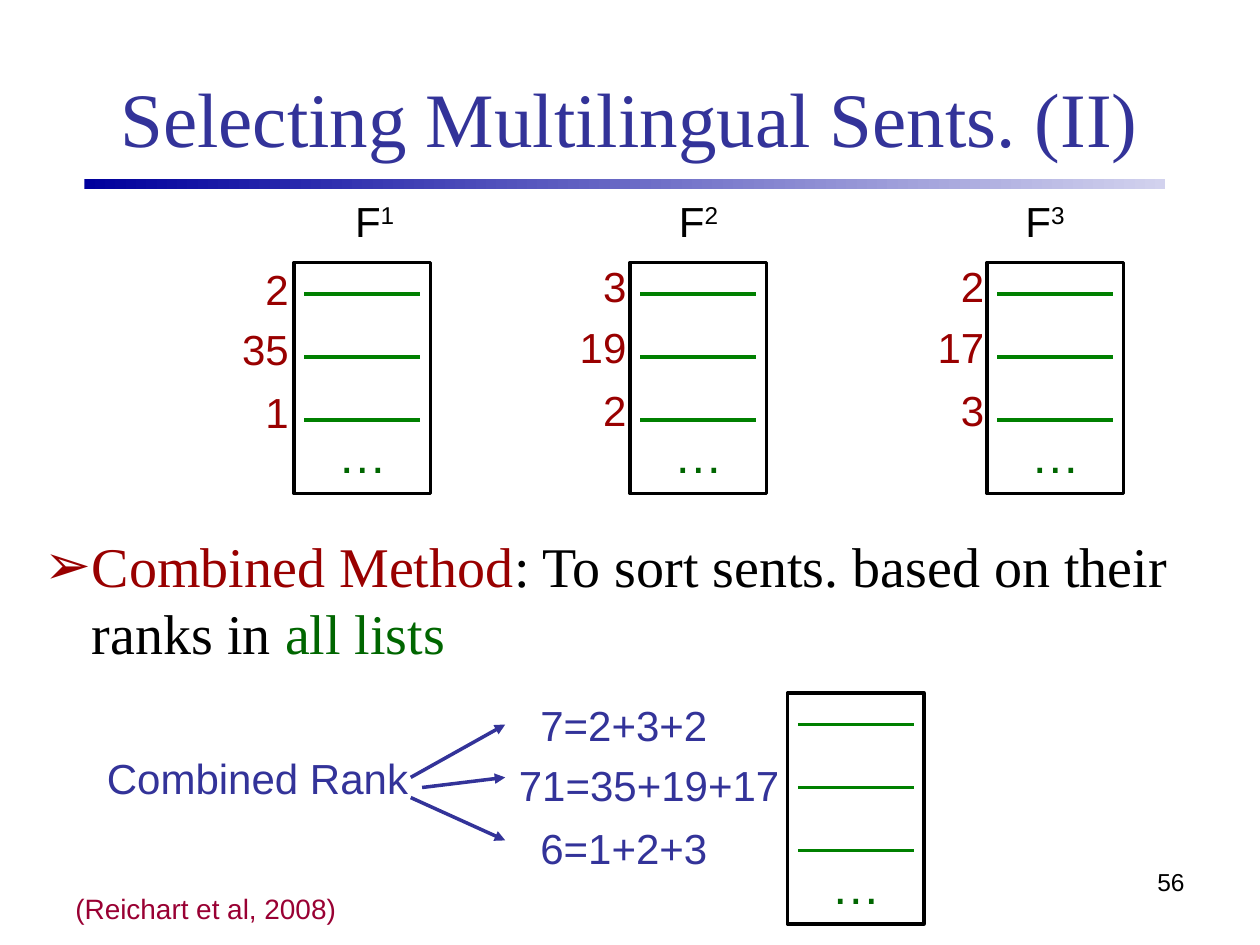
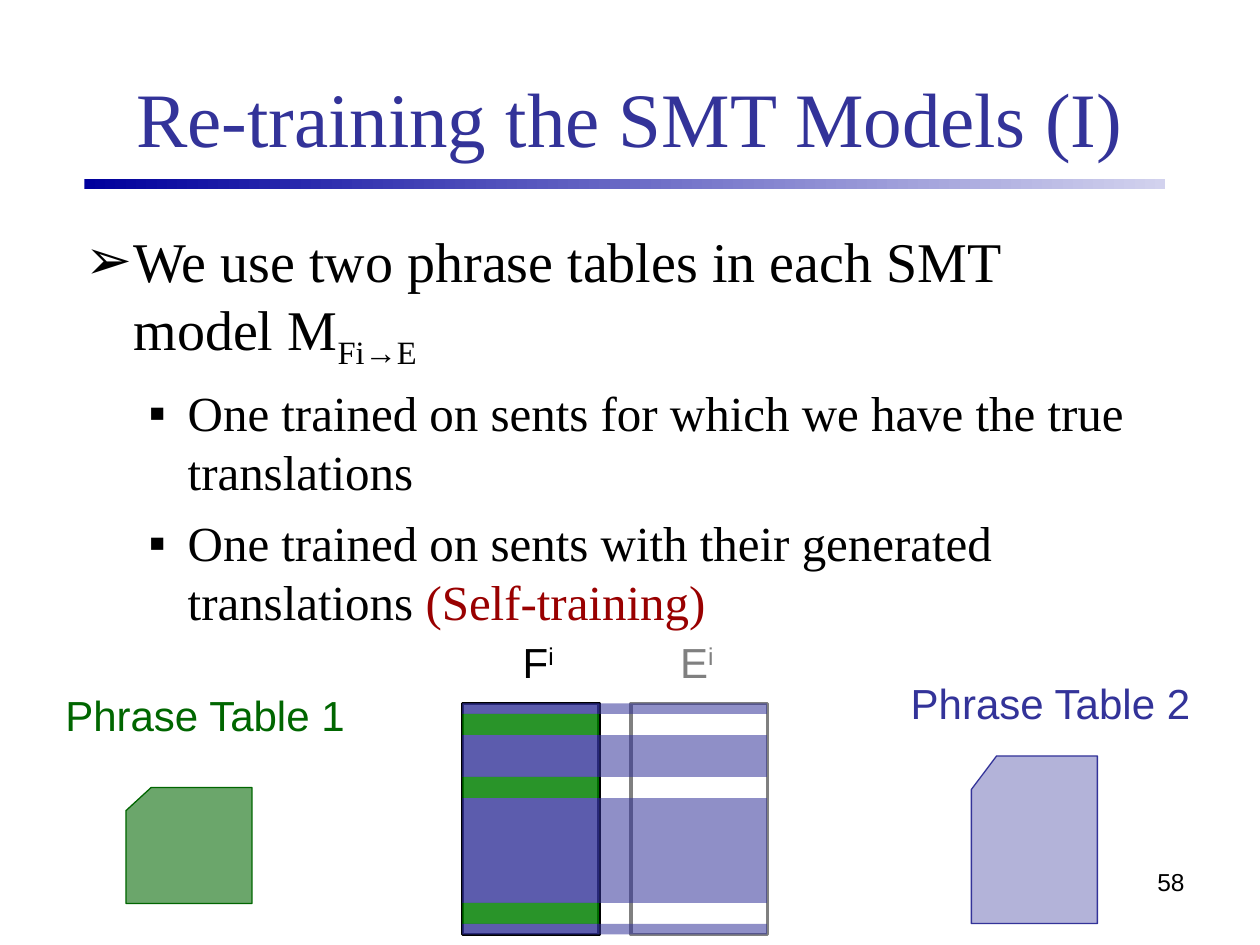
from pptx import Presentation
from pptx import util as u
from pptx.dml.color import RGBColor
from pptx.enum import shapes, text
from pptx.oxml.ns import qn
from lxml import etree

COLOURS = {
    "black": "000000", "grey": "808080", "blue": "333399",
    "green": "008000", "dark green": "006600", "red": "990000",
    "wine": "990033", "band start": "00009C", "band end": "D2D2EE",
}
SERIF, SANS = "Times New Roman", "Arial"
CELL = 1 / 12
LIST_COLS, LIST_ROWS = 13, 22
ROW_TOPS = (0, 0.48, 0.98)

RANKED_LISTS = [
    {"name": "1", "col": 28, "label": 2.72, "ranks": (2, 35, 1), "ranks_at": (2.39, 2.04)},
    {"name": "2", "col": 60, "label": 5.29, "ranks": (3, 19, 2), "ranks_at": (5.07, 2.02)},
    {"name": "3", "col": 94, "label": 8.04, "ranks": (2, 17, 3), "ranks_at": (7.91, 2.02)},
]
SUM_LEFTS = (4.19, 4.02, 4.19)
RANK_ARROWS = [
    ((3.26, 6.17), (4.01, 5.75)),
    ((3.35, 6.25), (4.01, 6.17)),
    ((3.26, 6.33), (4.01, 6.67)),
]
LEVELS = [
    {"bullet": "➢", "size": 32, "margin": 0.38, "hang": 0.38, "before": 8},
    {"bullet": "▪", "size": 28, "margin": 0.81, "hang": 0.31, "before": 7},
]
COMBINED_METHOD = [
    (0, "red", [("Combined Method", {"colour": "red"}),
                (": To sort sents. based on their ranks in ", {}),
                ("all lists", {"colour": "dark green"})]),
]
PHRASE_TABLES = [
    (0, "black", [("We use two phrase tables in each SMT model M", {}),
                  ("Fi", {"shift": -25}),
                  ("→", {"shift": -25, "face": SANS}),
                  ("E", {"shift": -25})]),
    (1, "black", [("One trained on sents for which we have the true translations", {})]),
    (1, "black", [("One trained on sents with their generated translations ", {}),
                  ("(Self-training)", {"colour": "red"})]),
]
CORPUS_FRAMES = [("F", 3.67, 4.05, "black"), ("E", 5.01, 5.3, "grey")]
CORPUS_TOP = 67
STRIPE_ROWS = (1, 2, 4, 2, 10, 2, 1)
CARDS = [
    {"name": "Phrase Table 1", "colour": "dark green", "opacity": 58,
     "label": (0.42, 5.42), "at": (1, 6.25, 1, 0.92)},
    {"name": "Phrase Table 2", "colour": "blue", "opacity": 37,
     "label": (7.13, 5.33), "at": (7.71, 6, 1, 1.33)},
]


def rgb(name):
    return RGBColor.from_string(COLOURS[name])


def inches(*lengths):
    return [u.Inches(length) for length in lengths]


def style(font, face, size, colour):
    font.name, font.size = face, u.Pt(size)
    font.color.rgb = rgb(colour)


def add_spans(para, spans):
    for words, look in spans:
        span = para.add_run()
        span.text = words
        if "colour" in look:
            span.font.color.rgb = rgb(look["colour"])
        if "face" in look:
            span.font.name = look["face"]
        if "shift" in look:
            span._r.get_or_add_rPr().set("baseline", str(look["shift"] * 1000))


def add_label(page, left, top, spans, colour, size=24, width=2.8, height=0.5, align="LEFT"):
    box = page.shapes.add_textbox(*inches(left, top, width, height))
    box.text_frame.word_wrap = True
    para = box.text_frame.paragraphs[0]
    para.alignment = getattr(text.PP_ALIGN, align)
    style(para.font, SANS, size, colour)
    add_spans(para, [(spans, {})] if isinstance(spans, str) else spans)


def add_box(page, at, fill=None, opacity=100, line=None, weight=2, kind="RECTANGLE"):
    box = page.shapes.add_shape(getattr(shapes.MSO_SHAPE, kind), *inches(*at))
    box.shadow.inherit = False
    if fill:
        box.fill.solid()
        box.fill.fore_color.rgb = rgb(fill)
        tint = box._element.spPr.find(".//" + qn("a:srgbClr"))
        etree.SubElement(tint, qn("a:alpha"), val=str(opacity * 1000))
    else:
        box.fill.background()
    if line:
        box.line.color.rgb = rgb(line)
        box.line.width = u.Pt(weight)
    else:
        box.line.fill.background()
    return box


def add_line(page, start, end, colour, weight, arrow=False):
    line = page.shapes.add_connector(shapes.MSO_CONNECTOR.STRAIGHT, *inches(*start, *end))
    line.line.color.rgb = rgb(colour)
    line.line.width = u.Pt(weight)
    properties = line._element.spPr
    if arrow:
        etree.SubElement(properties.find(qn("a:ln")), qn("a:tailEnd"), type="triangle")
    etree.SubElement(properties, qn("a:effectLst"))


def place(holder, at):
    holder.left, holder.top, holder.width, holder.height = inches(*at)
    holder.text_frame.auto_size = text.MSO_AUTO_SIZE.NONE
    return holder.text_frame


def fill_body(page, at, items):
    frame = place(page.placeholders[1], at)
    frame.vertical_anchor = text.MSO_ANCHOR.TOP
    for index, (depth, bullet_colour, spans) in enumerate(items):
        level = LEVELS[depth]
        para = frame.add_paragraph() if index else frame.paragraphs[0]
        para.level = depth
        properties = para._p.get_or_add_pPr()
        properties.set("marL", str(u.Inches(level["margin"])))
        properties.set("indent", str(-u.Inches(level["hang"])))
        tint = etree.SubElement(properties, qn("a:buClr"))
        etree.SubElement(tint, qn("a:srgbClr"), val=COLOURS[bullet_colour])
        etree.SubElement(properties, qn("a:buFont"), typeface=SANS)
        etree.SubElement(properties, qn("a:buChar"), char=level["bullet"])
        para.space_before = u.Pt(level["before"] if index else 0)
        style(para.font, SERIF, level["size"], "black")
        add_spans(para, spans)


def add_page(deck, title, number, body_at, items):
    page = deck.slides.add_slide(deck.slide_layouts[1])
    frame = place(page.shapes.title, (0.5, 0.3, 9, 1.25))
    frame.vertical_anchor = text.MSO_ANCHOR.MIDDLE
    para = frame.paragraphs[0]
    para.alignment = text.PP_ALIGN.CENTER
    style(para.font, SERIF, 44, "blue")
    add_spans(para, [(title, {})])
    fill_body(page, body_at, items)
    band = add_box(page, (0.67, 1.42, 8.58, CELL))
    band.fill.gradient()
    band.fill.gradient_angle = 0
    for stop, colour in zip(band.fill.gradient_stops, ("band start", "band end")):
        stop.color.rgb = rgb(colour)
    add_label(page, 7.17, 6.83, number, "black", 14, 2.33, 0.52, "RIGHT")
    return page


def add_sentence_list(page, col, row):
    left, top = col * CELL, row * CELL
    add_box(page, (left, top, LIST_COLS * CELL, LIST_ROWS * CELL), line="black")
    for step in range(3):
        y = top + 0.25 + step / 2
        add_line(page, (left + CELL, y), (left + 1, y), "green", 2.25)
    add_label(page, left + 0.25, top + 1.24, "…", "dark green", 28, 0.6, 0.57)


def build_selection(deck):
    page = add_page(deck, "Selecting Multilingual Sents. (II)", "56",
                    (0.25, 4.17, 9.17, 1.5), COMBINED_METHOD)
    for ranked in RANKED_LISTS:
        add_sentence_list(page, ranked["col"], 25)
        add_label(page, ranked["label"], 1.5, [("F", {}), (ranked["name"], {"shift": 30})],
                  "black", width=0.8)
        right, top = ranked["ranks_at"]
        for rank, drop in zip(ranked["ranks"], ROW_TOPS):
            add_label(page, right - 0.7, top + drop, str(rank), "red", width=0.7, align="RIGHT")
    add_label(page, 0.75, 5.92, "Combined Rank", "blue")
    for start, end in RANK_ARROWS:
        add_line(page, start, end, "blue", 2, arrow=True)
    add_sentence_list(page, 75, 66)
    rows = zip(*(ranked["ranks"] for ranked in RANKED_LISTS))
    for ranks, left, drop in zip(rows, SUM_LEFTS, ROW_TOPS):
        add_label(page, left, 5.5 + drop, f"{sum(ranks)}={'+'.join(map(str, ranks))}", "blue")
    add_label(page, 0.5, 7.03, "(Reichart et al, 2008)", "wine", 16, height=0.37)


def build_retraining(deck):
    page = add_page(deck, "Re-training the SMT Models (I)", "58",
                    (0.58, 1.75, 8.5, 5.58), PHRASE_TABLES)
    top, width = CORPUS_TOP * CELL, LIST_COLS * CELL
    for letter, left, label_left, colour in CORPUS_FRAMES:
        add_box(page, (left, top, width, LIST_ROWS * CELL), line=colour)
        add_label(page, label_left, 5, [(letter, {}), ("i", {"shift": 30})], colour, width=0.8)
    left = CORPUS_FRAMES[0][1]
    for index, rows in enumerate(STRIPE_ROWS):
        if index % 2:
            add_box(page, (left, top, width, rows * CELL), "green", 84)
        else:
            for columns in (29, LIST_COLS):
                add_box(page, (left, top, columns * CELL, rows * CELL), "blue", 55)
        top += rows * CELL
    for card in CARDS:
        add_box(page, card["at"], card["colour"], card["opacity"], card["colour"], 0.75,
                "FLOWCHART_CARD")
        add_label(page, *card["label"], card["name"], card["colour"])


def main():
    deck = Presentation()
    deck.slide_width, deck.slide_height = inches(10, 7.5)
    build_selection(deck)
    build_retraining(deck)
    deck.save("out.pptx")


if __name__ == "__main__":
    main()
